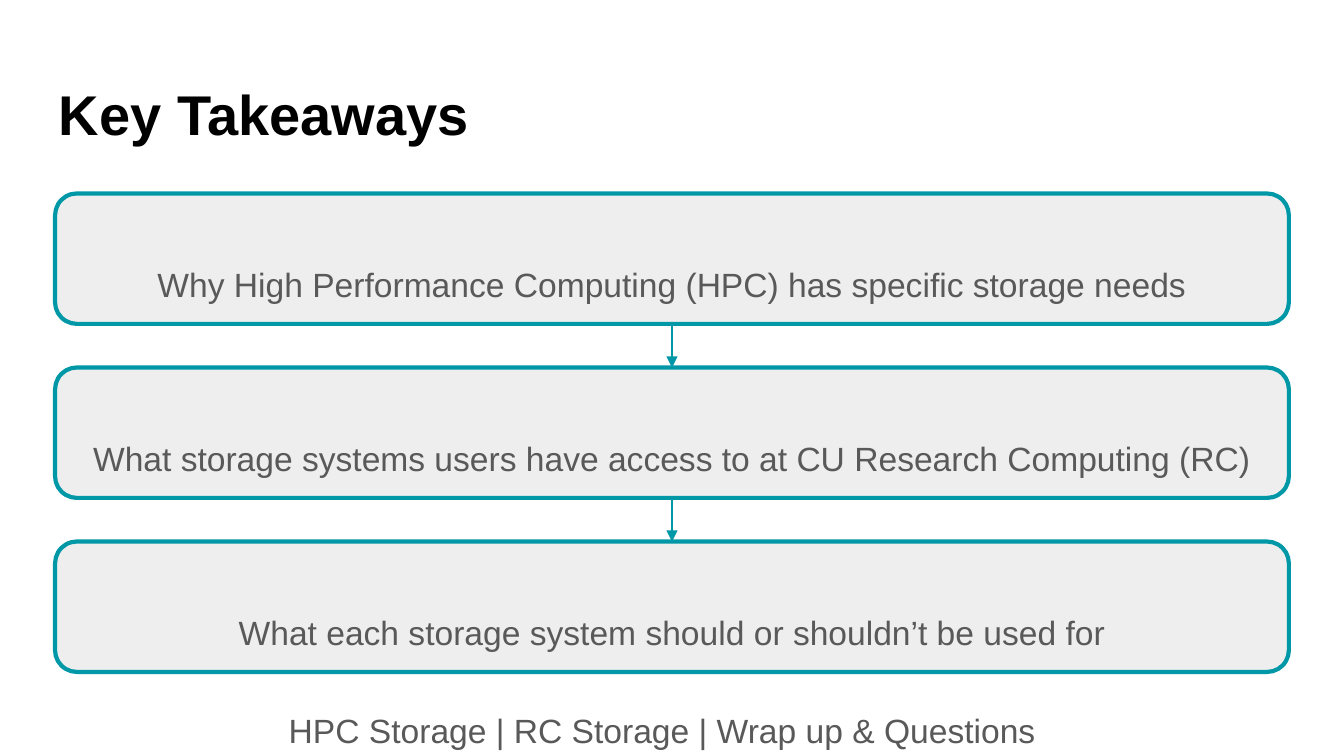
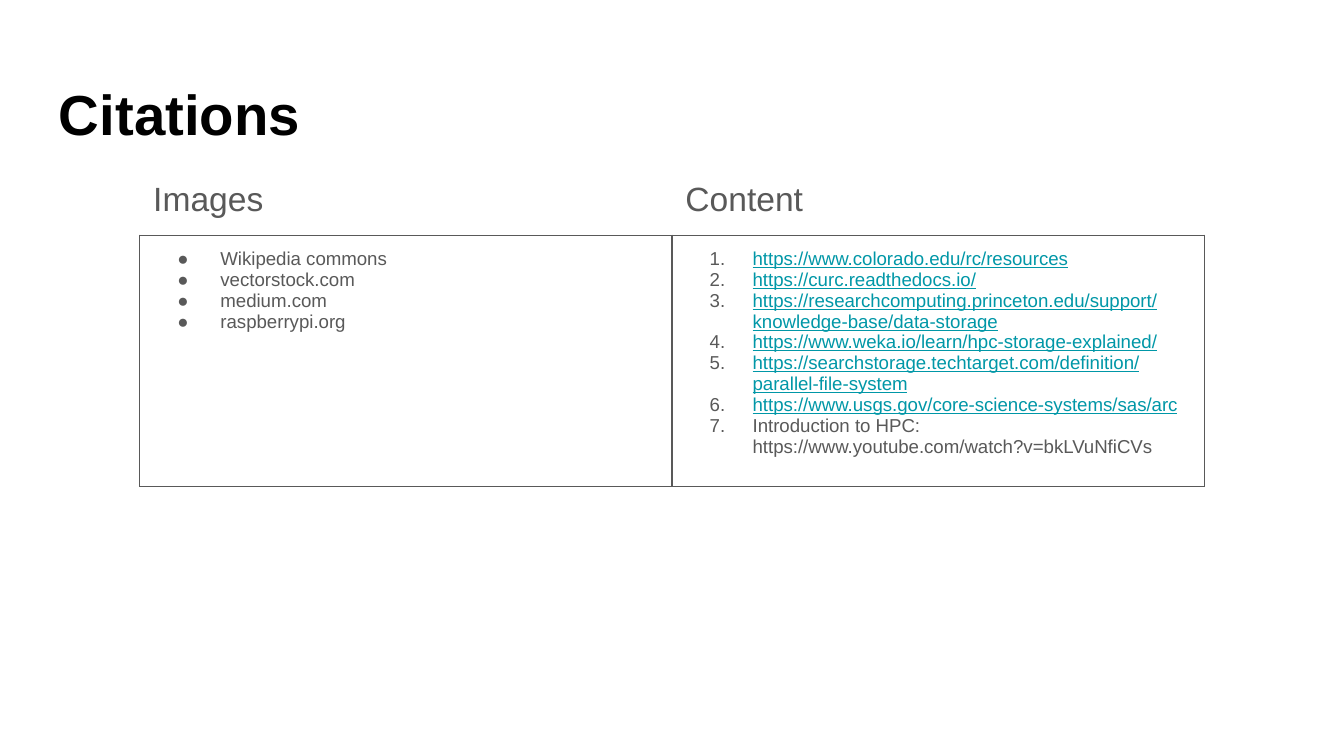
import pptx
import pptx.dml.color
import pptx.enum.shapes
import pptx.enum.text
import pptx.oxml.ns
import pptx.util
from lxml import etree

Inches, Pt = pptx.util.Inches, pptx.util.Pt
qn = pptx.oxml.ns.qn
TEAL, GREY, PALE, BLACK, WHITE = "0097A7", "595959", "EEEEEE", "000000", "FFFFFF"


def rgb(value):
    return pptx.dml.color.RGBColor.from_string(value)


def style(tf, size, color=GREY, bold=None):
    """Give every run in a text frame the same look."""
    for p in tf.paragraphs:
        for r in p.runs:
            r.font.name, r.font.size, r.font.bold = "Arial", Pt(size), bold
            r.font.color.rgb = rgb(color)


# 16:9 slides
prs = pptx.Presentation()
prs.slide_width = Inches(10)
prs.slide_height = Inches(10 * 9 / 16)

# Slides with their titles
slides = []
for title, size in (("Key Takeaways", 30), ("Citations", 30.2)):
    s = prs.slides.add_slide(prs.slide_layouts[6])
    tf = s.shapes.add_textbox(Inches(0.34), Inches(0.49), Inches(9.32), Inches(0.63)).text_frame
    tf.word_wrap = True
    tf.margin_left = tf.margin_right = tf.margin_top = tf.margin_bottom = Inches(0.1)
    tf.text = title
    style(tf, size, BLACK, True)
    slides.append(s)
takeaways, citations = slides

# Takeaway boxes
boxes = []
for i, text in enumerate((
        "Why High Performance Computing (HPC) has specific storage needs",
        "What storage systems users have access to at CU Research Computing (RC)",
        "What each storage system should or shouldn’t be used for")):
    sp = takeaways.shapes.add_shape(
        pptx.enum.shapes.MSO_SHAPE.ROUNDED_RECTANGLE,
        Inches(0.41), Inches(1.44 + i * (4.03 - 1.44) / 2), Inches(9.18), Inches(0.97))
    sp.shadow.inherit = False
    sp.fill.solid()
    sp.fill.fore_color.rgb = rgb(PALE)
    sp.line.color.rgb = rgb(TEAL)
    sp.line.width = Pt(2.25)
    tf = sp.text_frame
    tf.word_wrap = True
    tf.margin_left = tf.margin_right = tf.margin_top = tf.margin_bottom = Inches(0.1)
    tf.vertical_anchor = pptx.enum.text.MSO_ANCHOR.BOTTOM
    tf.text = text
    p = tf.paragraphs[0]
    p.alignment = pptx.enum.text.PP_ALIGN.CENTER
    p.line_spacing = 1.15
    p.space_after = Pt(12)
    style(tf, 18)
    boxes.append(sp)

# Arrows between the boxes
for upper, lower in zip(boxes, boxes[1:]):
    line = takeaways.shapes.add_connector(pptx.enum.shapes.MSO_CONNECTOR.STRAIGHT, 0, 0, 0, 0)
    line.begin_connect(upper, 2)
    line.end_connect(lower, 0)
    line.line.color.rgb = rgb(TEAL)
    line.line.width = Pt(1.5)
    etree.SubElement(line.line._get_or_add_ln(), qn("a:tailEnd"), type="triangle")
    etree.SubElement(line._element.spPr, qn("a:effectLst"))

# Agenda line
tf = takeaways.shapes.add_textbox(Inches(2.05), Inches(5.18), Inches(5.91), Inches(0.5)).text_frame
tf.word_wrap = True
tf.margin_left = tf.margin_right = tf.margin_top = tf.margin_bottom = Inches(0.1)
tf.text = "HPC Storage | RC Storage | Wrap up & Questions"
style(tf, 18)

# Citations table
columns = (
    ("Images", ("Wikipedia commons", "vectorstock.com", "medium.com", "raspberrypi.org")),
    ("Content", (
        "https://www.colorado.edu/rc/resources",
        "https://curc.readthedocs.io/",
        "https://researchcomputing.princeton.edu/support/knowledge-base/data-storage",
        "https://www.weka.io/learn/hpc-storage-explained/",
        "https://searchstorage.techtarget.com/definition/parallel-file-system",
        "https://www.usgs.gov/core-science-systems/sas/arc",
        "Introduction to HPC: https://www.youtube.com/watch?v=bkLVuNfiCVs")),
)
table = citations.shapes.add_table(
    2, 2, Inches(1.04), Inches(1.25), Inches(7.92), Inches(2.11)).table
table.first_row = table.horz_banding = False
table.rows[0].height, table.rows[1].height = Inches(0.26), Inches(1.85)

for col, (heading, entries) in enumerate(columns):
    table.columns[col].width = Inches(3.96)
    head, body = table.cell(0, col), table.cell(1, col)
    head.text_frame.text = heading
    style(head.text_frame, 18)

    # Bulleted or numbered entries
    tf = body.text_frame
    tf.text = "\n".join(entries)
    for p in tf.paragraphs:
        pPr = p._p.get_or_add_pPr()
        pPr.set("marL", str(Inches(0.5)))
        pPr.set("indent", str(Inches(-0.32)))
        clr = etree.SubElement(pPr, qn("a:buClr"))
        etree.SubElement(clr, qn("a:srgbClr"), val=GREY)
        etree.SubElement(pPr, qn("a:buFont"), typeface="Arial")
        if heading == "Images":
            etree.SubElement(pPr, qn("a:buChar"), char="●")
        else:
            etree.SubElement(pPr, qn("a:buAutoNum"), type="arabicPeriod")
    style(tf, 10)
    for p in tf.paragraphs:
        if p.text.startswith("https"):
            p.runs[0].font.color.rgb = rgb(TEAL)
            p.runs[0].font.underline = True

    # Margins, borders and fill
    for cell in (head, body):
        cell.margin_left = cell.margin_right = cell.margin_top = cell.margin_bottom = Inches(0.1)
        tcPr = cell._tc.get_or_add_tcPr()
        for side in ("lnL", "lnR", "lnT", "lnB"):
            ln = etree.SubElement(tcPr, qn("a:" + side), w=str(Pt(0.75)))
            fill = etree.SubElement(ln, qn("a:solidFill"))
            color = WHITE if cell is head and side != "lnB" else GREY
            etree.SubElement(fill, qn("a:srgbClr"), val=color)
        cell.fill.background()

prs.save("out.pptx")
